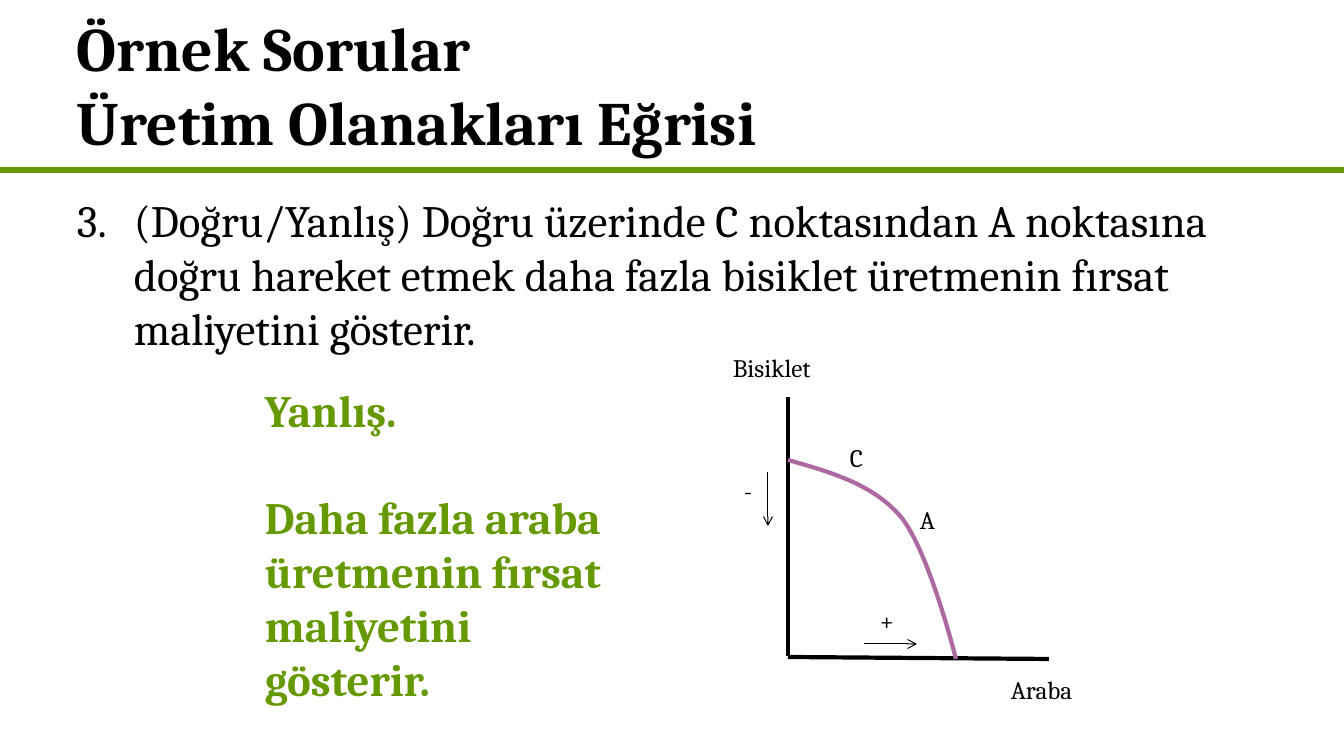
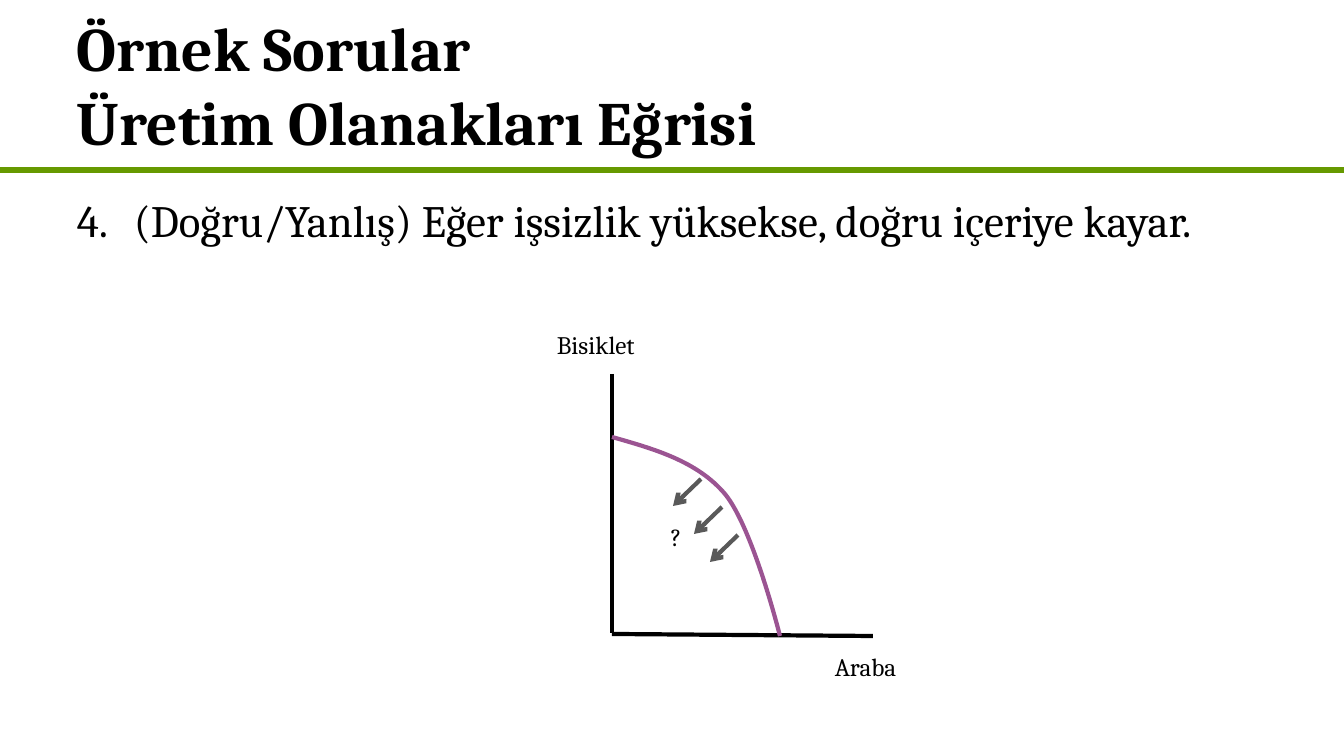
from lxml import etree
from pptx import Presentation
from pptx import util as u
from pptx.dml.color import RGBColor
from pptx.enum import shapes, text
from pptx.oxml.ns import qn

EMU_PER_PX = 914400 / 100.8
SLIDE_WIDTH, SLIDE_HEIGHT = 1344, 756
FONT = "Cambria"
COLORS = {
    "black": "000000",
    "green": "669900",
    "gray": "595959",
    "purple": "9B5492",
    "light_purple": "AC69A2",
}
TITLE = "Örnek Sorular\vÜretim Olanakları Eğrisi"
# Start point, then three points for each Bézier segment, from the curve's start
CURVE = [(0, 0), (42, 12), (85, 24), (113, 57), (141, 91), (168, 199), (168, 199)]


def px(length):
    return u.Emu(round(length * EMU_PER_PX))


def color(name):
    return RGBColor.from_string(COLORS[name])


def add_text(slide, area, content, size=18, ink="black", bold=False):
    box = slide.shapes.add_textbox(*map(px, area))
    frame = box.text_frame
    frame.word_wrap = True
    frame.text = content
    for para in frame.paragraphs:
        for span in para.runs:
            span.font.name = FONT
            span.font.size = u.Pt(size)
            span.font.bold = bold
            span.font.color.rgb = color(ink)
    return frame


def add_label(slide, left, top, content, width=50):
    add_text(slide, (left, top, width, 40), content)


def add_line(slide, start, end, ink="black", width=3, arrow=False):
    line = slide.shapes.add_connector(
        shapes.MSO_CONNECTOR.STRAIGHT, *map(px, (*start, *end)))
    line.line.color.rgb = color(ink)
    line.line.width = u.Pt(width)
    if arrow:
        outline = line.line._get_or_add_ln()
        etree.SubElement(outline, qn("a:tailEnd"), type="arrow")
    etree.SubElement(line._element.spPr, qn("a:effectLst"))


def add_curve(slide, left, top, ink):
    """Draw the frontier, turning each three points into a Bézier segment."""
    points = [(left + x, top + y) for x, y in CURVE]
    builder = slide.shapes.build_freeform(*points[0], scale=EMU_PER_PX)
    builder.add_line_segments(points[1:], close=False)
    curve = builder.convert_to_shape()
    curve.shadow.inherit = False
    curve.fill.background()
    curve.line.color.rgb = color(ink)
    curve.line.width = u.Pt(3)
    steps = list(curve._element.iter(qn("a:lnTo")))
    for first in range(0, len(steps), 3):
        segment = etree.Element(qn("a:cubicBezTo"))
        steps[first].addprevious(segment)
        for step in steps[first:first + 3]:
            segment.append(step[0])
            step.getparent().remove(step)


def add_graph(slide, left, top, ink):
    """Draw axes, axis names and frontier from the top of the vertical axis."""
    add_line(slide, (left, top), (left, top + 259))
    add_line(slide, (left + 261, top + 262), (left, top + 260))
    add_label(slide, left - 65, top - 50, "Bisiklet", 141)
    add_label(slide, left + 213, top + 272, "Araba", 109)
    add_curve(slide, left, top + 63, ink)


def add_question_slide(deck, number, question):
    slide = deck.slides.add_slide(deck.slide_layouts[6])
    add_line(slide, (0, 170), (SLIDE_WIDTH, 170), "green", 4.5)
    title = add_text(slide, (67, 0, 1210, 168), TITLE, 44, bold=True)
    title.vertical_anchor = text.MSO_ANCHOR.MIDDLE
    body = add_text(slide, (67, 188, 1210, 540), question, 32)
    props = body.paragraphs[0]._p.get_or_add_pPr()
    props.set("marL", str(px(57)))
    props.set("indent", str(px(-57)))
    etree.SubElement(props, qn("a:buFont"), typeface=FONT)
    etree.SubElement(props, qn("a:buAutoNum"), type="arabicPeriod", startAt=str(number))
    return slide


def add_opportunity_cost(deck):
    slide = add_question_slide(
        deck, 3,
        "(Doğru/Yanlış) Doğru üzerinde C noktasından A noktasına doğru hareket "
        "etmek daha fazla bisiklet üretmenin fırsat maliyetini gösterir.")
    answer = add_text(
        slide, (255, 378, 375, 336),
        "Yanlış.\nDaha fazla araba üretmenin fırsat maliyetini gösterir.",
        32, "green", bold=True)
    answer.paragraphs[1].space_before = u.Pt(38)
    add_graph(slide, 788, 397, "light_purple")
    for left, top, content in [(910, 499, "A"), (840, 437, "C"),
                               (870, 600, "+"), (734, 470, "-")]:
        add_label(slide, left, top, content)
    add_line(slide, (864, 644), (917, 644), width=0.75, arrow=True)
    add_line(slide, (768, 472), (768, 526), width=0.75, arrow=True)


def add_unemployment(deck):
    slide = add_question_slide(
        deck, 4, "(Doğru/Yanlış) Eğer işsizlik yüksekse, doğru içeriye kayar.")
    add_graph(slide, 612, 374, "purple")
    add_label(slide, 661, 516, "?")
    for x, y in [(701, 479), (722, 507), (738, 535)]:
        add_line(slide, (x, y), (x - 28, y + 27), "gray", arrow=True)


def main():
    deck = Presentation()
    deck.slide_width, deck.slide_height = px(SLIDE_WIDTH), px(SLIDE_HEIGHT)
    add_opportunity_cost(deck)
    add_unemployment(deck)
    deck.save("out.pptx")


if __name__ == "__main__":
    main()
